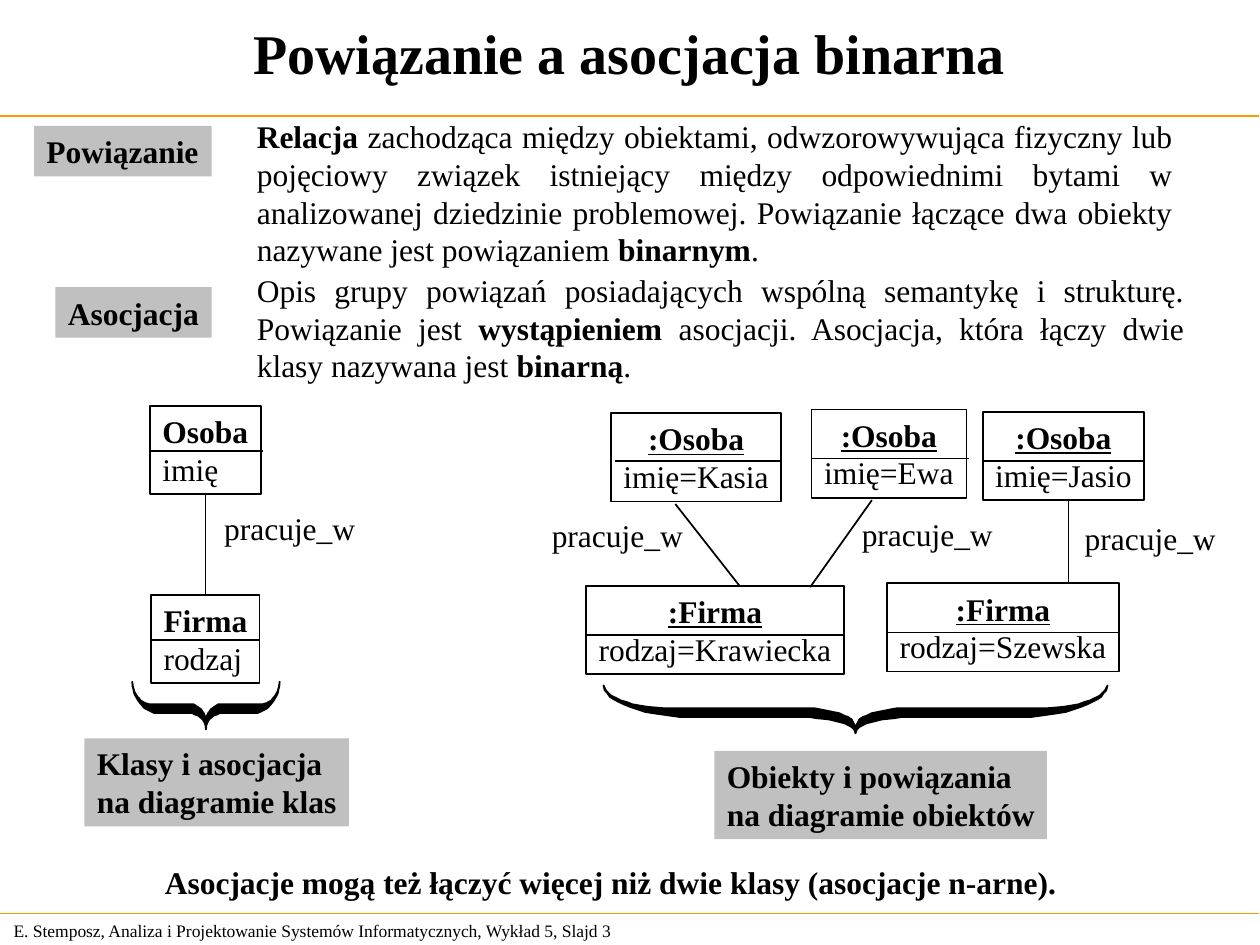
from dataclasses import dataclass

from lxml import etree
from pptx import Presentation
from pptx.dml.color import RGBColor
from pptx.enum.shapes import MSO_CONNECTOR, MSO_SHAPE
from pptx.enum.text import MSO_ANCHOR, MSO_AUTO_SIZE, PP_ALIGN
from pptx.oxml.ns import qn
from pptx.util import Pt

PX = 9144  # 100 px to the inch
RECTANGLE, ROUNDED = MSO_SHAPE.RECTANGLE, MSO_SHAPE.ROUNDED_RECTANGLE
STRAIGHT = MSO_CONNECTOR.STRAIGHT
LEFT, CENTER, JUSTIFY = PP_ALIGN.LEFT, PP_ALIGN.CENTER, PP_ALIGN.JUSTIFY
TOP, MIDDLE = MSO_ANCHOR.TOP, MSO_ANCHOR.MIDDLE
FIT, NO_FIT = MSO_AUTO_SIZE.SHAPE_TO_FIT_TEXT, MSO_AUTO_SIZE.NONE

COLORS = {"ink": "000000", "label": "C0C0C0", "rule": "FF9900"}
FONT = "Times New Roman"


@dataclass(frozen=True)
class TextBlock:
    """Text in a box; ** switches bold on and off."""
    left: int
    top: int
    width: int
    height: int
    lines: tuple[str, ...]
    size: int = 18
    align: PP_ALIGN = LEFT
    anchor: MSO_ANCHOR = TOP
    wrap: bool = False
    fit: MSO_AUTO_SIZE = FIT
    insets: tuple[int, int] = (10, 10)  # left, right


@dataclass(frozen=True)
class UmlBox:
    left: int
    top: int
    width: int
    name: str
    attribute: str
    divider: tuple[int, int, int]  # from x, to x, y
    is_object: bool = True


@dataclass(frozen=True)
class Line:
    x1: int
    y1: int
    x2: int
    y2: int
    color: str = "ink"
    weight: float = 1


@dataclass(frozen=True)
class Brace:
    left: int
    top: int
    width: int


BOX_HEIGHT = 70
# Fixed-size shapes: a narrow inset leaves each line room to stay whole
LEFT_FIXED = {"align": LEFT, "wrap": True, "fit": NO_FIT, "insets": (10, 0)}
CENTER_FIXED = {"align": CENTER, "wrap": True, "fit": NO_FIT, "insets": (2, 2)}

TEXTS = [
    TextBlock(1, 725, 524, 27,
              ("E. Stemposz, Analiza i Projektowanie Systemów Informatycznych, Wykład 5, Slajd 3",),
              size=10, anchor=MIDDLE, wrap=True),
    TextBlock(0, -1, 999, 85, ("**Powiązanie a asocjacja binarna**",),
              size=32, align=CENTER, anchor=MIDDLE, wrap=True, fit=NO_FIT),
    TextBlock(194, 88, 747, 130,
              ("**Relacja **zachodząca między obiektami, odwzorowywująca fizyczny lub pojęciowy "
               "związek istniejący między odpowiednimi bytami w analizowanej dziedzinie "
               "problemowej. Powiązanie łączące dwa obiekty nazywane jest powiązaniem "
               "**binarnym**.",), align=JUSTIFY, wrap=True),
    TextBlock(194, 210, 756, 100,
              ("Opis grupy powiązań posiadających wspólną semantykę i strukturę. Powiązanie jest "
               "**wystąpieniem **asocjacji. Asocjacja, która łączy dwie klasy nazywana jest "
               "**binarną**.",), align=JUSTIFY, wrap=True),
    TextBlock(121, 680, 728, 40,
              ("**Asocjacje mogą też łączyć więcej niż dwie klasy (asocjacje n-arne).**",),
              anchor=MIDDLE),
    *(TextBlock(left, top, 124, 40, ("pracuje_w",), align=CENTER)
      for left, top in ((168, 399), (428, 405), (674, 404), (851, 407))),
]
LABELS = [
    TextBlock(27, 100, 141, 40, ("**Powiązanie**",), anchor=MIDDLE, **LEFT_FIXED),
    TextBlock(44, 228, 124, 40, ("**Asocjacja**",), anchor=MIDDLE, **LEFT_FIXED),
    TextBlock(67, 586, 210, 70, ("**Klasy i asocjacja**", "**na diagramie klas**"),
              **LEFT_FIXED),
    TextBlock(567, 596, 264, 70, ("**Obiekty i powiązania**", "**na diagramie obiektów**"),
              **LEFT_FIXED),
]
UML_BOXES = [
    UmlBox(119, 322, 88, "Osoba", "imię", (119, 209, 358), False),
    UmlBox(120, 472, 86, "Firma", "rodzaj", (120, 206, 508), False),
    UmlBox(485, 328, 135, ":Osoba", "imię=Kasia", (488, 621, 366)),
    UmlBox(644, 325, 123, ":Osoba", "imię=Ewa", (644, 769, 364)),
    UmlBox(780, 327, 128, ":Osoba", "imię=Jasio", (779, 909, 366)),
    UmlBox(465, 465, 205, ":Firma", "rodzaj=Krawiecka", (465, 671, 504)),
    UmlBox(704, 463, 184, ":Firma", "rodzaj=Szewska", (704, 888, 502)),
]
LINES = [
    *(Line(-1, y, 999, y, "rule", 0.75) for y in (92, 725)),
    Line(163, 393, 163, 472),
    Line(536, 400, 587, 465),
    Line(692, 397, 643, 466),
    Line(848, 398, 848, 463),
]
BRACES = [Brace(105, 541, 117), Brace(479, 544, 400)]

# Left half of a brace 400 wide: edges from the outer tip to the middle
BRACE_WIDTH = 400
LOWER_EDGE = [(0, 0), (1, 4), (3, 6), (5, 9), (8, 11), (12, 13), (16, 15), (21, 17), (27, 19),
              (33, 21), (39, 22), (46, 23), (53, 24), (60, 25), (75, 25), (163, 25), (169, 26),
              (179, 27), (187, 29), (191, 30), (195, 32), (197, 33), (199, 35), (200, 38)]
UPPER_EDGE = [(1, 2), (2, 4), (4, 6), (6, 8), (10, 10), (14, 12), (18, 13), (23, 15), (29, 16),
              (35, 17), (47, 18), (155, 18), (167, 18), (172, 19), (177, 20), (182, 21),
              (187, 22), (191, 24), (194, 25), (197, 27), (198, 29), (199, 31), (200, 33)]


def rgb(name: str) -> RGBColor:
    return RGBColor.from_string(COLORS[name])


def write_text(shape, block: TextBlock, underline_first: bool = False) -> None:
    frame = shape.text_frame
    frame_format = {"word_wrap": block.wrap, "auto_size": block.fit,
                    "vertical_anchor": block.anchor,
                    "margin_left": block.insets[0] * PX, "margin_right": block.insets[1] * PX}
    for name, value in frame_format.items():
        setattr(frame, name, value)
    for index, line in enumerate(block.lines):
        paragraph = frame.add_paragraph() if index else frame.paragraphs[0]
        paragraph.alignment = block.align
        for part, text in enumerate(line.split("**")):
            if not text:
                continue
            run = paragraph.add_run()
            run.text = text
            font_format = {"name": FONT, "size": Pt(block.size), "bold": part % 2 == 1,
                           "underline": underline_first and index == 0}
            for name, value in font_format.items():
                setattr(run.font, name, value)
            run.font.color.rgb = rgb("ink")


def extent(block: TextBlock) -> list[int]:
    return [value * PX for value in (block.left, block.top, block.width, block.height)]


def draw_text(slide, block: TextBlock) -> None:
    write_text(slide.shapes.add_textbox(*extent(block)), block)


def draw_label(slide, block: TextBlock) -> None:
    shape = slide.shapes.add_shape(RECTANGLE, *extent(block))
    shape.shadow.inherit = False
    shape.fill.solid()
    shape.fill.fore_color.rgb = rgb("label")
    shape.line.fill.background()
    write_text(shape, block)


def draw_line(slide, line: Line) -> None:
    ends = [value * PX for value in (line.x1, line.y1, line.x2, line.y2)]
    connector = slide.shapes.add_connector(STRAIGHT, *ends)
    connector.line.color.rgb = rgb(line.color)
    connector.line.width = Pt(line.weight)
    etree.SubElement(connector._element.spPr, qn("a:effectLst"))


def draw_uml_box(slide, box: UmlBox) -> None:
    block = TextBlock(box.left, box.top, box.width, BOX_HEIGHT,
                      (f"**{box.name}**", box.attribute),
                      **(CENTER_FIXED if box.is_object else LEFT_FIXED))
    shape = slide.shapes.add_shape(ROUNDED if box.is_object else RECTANGLE, *extent(block))
    if box.is_object:
        shape.adjustments[0] = 0
    shape.shadow.inherit = False
    shape.fill.background()
    shape.line.color.rgb = rgb("ink")
    shape.line.width = Pt(1)
    write_text(shape, block, underline_first=box.is_object)
    start, end, y = box.divider
    draw_line(slide, Line(start, y, end, y))


def draw_brace(slide, brace: Brace) -> None:
    """Draw the half profile and its mirror as one outline."""
    def mirror(edge):
        return [(BRACE_WIDTH - x, y) for x, y in edge]

    outline = LOWER_EDGE + mirror(LOWER_EDGE)[::-1] + mirror(UPPER_EDGE) + UPPER_EDGE[::-1]
    stretch = brace.width / BRACE_WIDTH
    points = [(round((brace.left + x * stretch) * PX), (brace.top + y) * PX)
              for x, y in outline]
    builder = slide.shapes.build_freeform(*points[0])
    builder.add_line_segments(points[1:], close=True)
    shape = builder.convert_to_shape()
    shape.shadow.inherit = False
    shape.fill.solid()
    shape.fill.fore_color.rgb = rgb("ink")
    shape.line.color.rgb = rgb("ink")
    shape.line.width = Pt(1)


def main() -> None:
    presentation = Presentation()
    presentation.slide_width, presentation.slide_height = 1000 * PX, 750 * PX
    slide = presentation.slides.add_slide(presentation.slide_layouts[6])
    for draw, items in ((draw_line, LINES), (draw_text, TEXTS), (draw_uml_box, UML_BOXES),
                        (draw_brace, BRACES), (draw_label, LABELS)):
        for item in items:
            draw(slide, item)
    presentation.save("out.pptx")


if __name__ == "__main__":
    main()
